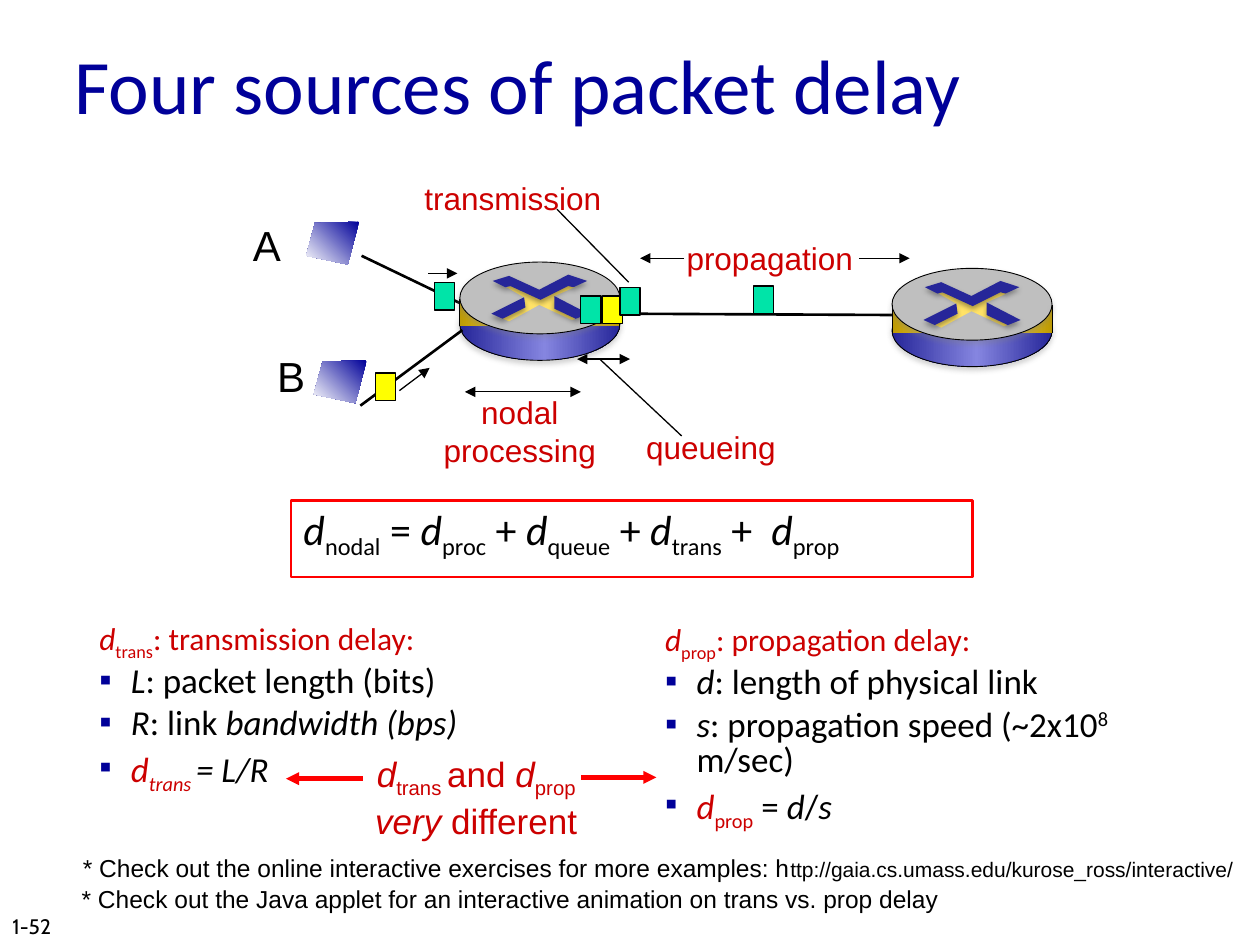
from lxml import etree
from pptx import Presentation
from pptx.dml.color import RGBColor
from pptx.enum.shapes import MSO_CONNECTOR as Connector, MSO_SHAPE as Shape
from pptx.enum.text import MSO_ANCHOR as Anchor, PP_ALIGN as Align
from pptx.oxml.ns import qn
from pptx.util import Inches, Pt

NAVY = RGBColor(0x00, 0x00, 0x99)
CRIMSON = RGBColor(0xCC, 0x00, 0x00)
RED = RGBColor(0xFF, 0x00, 0x00)
BLACK = RGBColor(0x00, 0x00, 0x00)
WHITE = RGBColor(0xFF, 0xFF, 0xFF)
GREY = RGBColor(0x80, 0x80, 0x80)
SILVER = RGBColor(0xBF, 0xBF, 0xBF)
INDIGO = RGBColor(0x26, 0x26, 0x99)
LAVENDER = RGBColor(0x85, 0x85, 0xE0)
BRONZE = RGBColor(0xC0, 0x9C, 0x00)
GOLD = RGBColor(0xFF, 0xE2, 0x67)
GREEN = RGBColor(0x00, 0xE4, 0xA8)
YELLOW = RGBColor(0xFF, 0xFF, 0x00)


def add_element(parent, tag, **attributes):
    return etree.SubElement(parent, qn(tag), {name: str(value) for name, value in attributes.items()})


class SlideBuilder:
    font = "Arial"
    body_font = "Calibri"

    def __init__(self, slide):
        self.slide = slide
        self.canvas = slide.shapes

    def compose(self, paragraph, runs, size, color=BLACK, font=None, align=None,
                indent=0, spacing=None, before=None, bullet=False):
        properties = paragraph._p.get_or_add_pPr()
        if indent:
            properties.set("marL", str(Inches(indent)))
            properties.set("indent", str(-Inches(indent)))
        if bullet:
            add_element(add_element(properties, "a:buClr"), "a:srgbClr", val=NAVY)
            add_element(properties, "a:buFont", typeface=self.font)
            add_element(properties, "a:buChar", char="▪")
        paragraph.alignment = align
        paragraph.line_spacing = spacing
        paragraph.space_before = before
        paragraph.font.name = font or self.font
        paragraph.font.size = Pt(size)
        paragraph.font.color.rgb = color
        for words, marks in runs:
            run = paragraph.add_run()
            run.text = words
            if "i" in marks:
                run.font.italic = True
            if "r" in marks:
                run.font.color.rgb = CRIMSON
            if "s" in marks:
                run.font.size = Pt(12)
            for mark, baseline in (("_", -25000), ("^", 30000)):
                if mark in marks:
                    run._r.get_or_add_rPr().set("baseline", str(baseline))

    def text(self, at, paragraphs, size, wrap=False, anchor=Anchor.TOP, **style):
        box = self.canvas.add_textbox(*map(Inches, at))
        frame = box.text_frame
        frame.word_wrap = wrap
        frame.vertical_anchor = anchor
        for index, runs in enumerate(paragraphs):
            paragraph = frame.paragraphs[0] if index == 0 else frame.add_paragraph()
            self.compose(paragraph, [(runs, "")] if isinstance(runs, str) else runs, size, **style)

    def delay_column(self, at, heading, items):
        frame = self.canvas.add_textbox(*map(Inches, at)).text_frame
        frame.word_wrap = True
        self.compose(frame.paragraphs[0], heading, 18, CRIMSON, self.body_font, indent=0.38, spacing=0.85)
        for runs in items:
            self.compose(frame.add_paragraph(), runs, 20, font=self.body_font, indent=0.25,
                         spacing=0.85, before=Pt(4), bullet=True)

    def paint(self, shape, fill=None, line=None, width=0.75, angle=0, shadow=None):
        if isinstance(fill, list):
            shape.fill.gradient()
            shape.fill.gradient_angle = 0
            gradient = shape._element.spPr.find(qn("a:gradFill"))
            gradient.find(qn("a:lin")).set("ang", str(angle * 60000))
            stops = gradient.find(qn("a:gsLst"))
            for stop in list(stops):
                stops.remove(stop)
            for position, color in fill:
                add_element(add_element(stops, "a:gs", pos=position * 1000), "a:srgbClr", val=color)
        elif fill is None:
            shape.fill.background()
        else:
            shape.fill.solid()
            shape.fill.fore_color.rgb = fill
        if line is None:
            shape.line.fill.background()
        else:
            shape.line.color.rgb = line
            shape.line.width = Pt(width)
        shape.shadow.inherit = False
        if shadow is not None:
            self.cast_shadow(shape._element.spPr.find(qn("a:effectLst")), shadow)
        return shape

    def cast_shadow(self, effects, color):
        outer = add_element(effects, "a:outerShdw", blurRad=Pt(3.1), dist=Pt(1.8),
                            dir=90 * 60000, algn="t", rotWithShape=0)
        add_element(add_element(outer, "a:srgbClr", val=color), "a:alpha", val=35000)

    def shape(self, kind, at, fill=None, line=None, **style):
        return self.paint(self.canvas.add_shape(kind, *map(Inches, at)), fill, line, **style)

    def outline(self, points, fill, dx=0, dy=0, **style):
        corners = [(Inches(x + dx), Inches(y + dy)) for x, y in points]
        builder = self.canvas.build_freeform(*corners[0])
        builder.add_line_segments(corners[1:], close=True)
        return self.paint(builder.convert_to_shape(), fill, **style)

    def line(self, start, end, width=0.75, color=BLACK, head=False, tail=False, shadow=None):
        connector = self.canvas.add_connector(Connector.STRAIGHT, *map(Inches, start + end))
        connector.line.color.rgb = color
        connector.line.width = Pt(width)
        for wanted, tag in ((head, "a:headEnd"), (tail, "a:tailEnd")):
            if wanted:
                add_element(connector.line._get_or_add_ln(), tag, type="triangle")
        effects = add_element(connector._element.spPr, "a:effectLst")
        if shadow is not None:
            self.cast_shadow(effects, shadow)

    def packet(self, x, y, fill):
        self.shape(Shape.RECTANGLE, (x, y, 0.16, 0.22), fill, BLACK)

    def host(self, x, y):
        self.outline([(0.42, 0), (0.07, 0.01), (0, 0.27), (0.33, 0.34)],
                     [(0, NAVY), (100, WHITE)], x, y, angle=135)

    def router(self, x, y):
        self.canvas = self.slide.shapes.add_group_shape().shapes
        self.shape(Shape.OVAL, (x, y + 0.21, 1.27, 0.57), [(0, INDIGO), (53, LAVENDER), (100, INDIGO)],
                   BLACK, width=0.5, shadow=GREY)
        self.shape(Shape.RECTANGLE, (x, y + 0.3, 1.27, 0.21), [(0, BRONZE), (53, GOLD), (100, BRONZE)])
        self.shape(Shape.OVAL, (x, y, 1.27, 0.57), SILVER, BLACK, width=0.5, shadow=GREY)
        self.outline([(0.63, 0.34), (0.39, 0.47), (0.32, 0.44), (0.52, 0.36), (0.51, 0.28),
                      (0.37, 0.2), (0.42, 0.19), (0.63, 0.29), (0.85, 0.18), (0.91, 0.2),
                      (0.75, 0.27), (0.78, 0.38), (0.94, 0.44), (0.89, 0.46)], GOLD, x, y)
        upper = [(0.26, 0.15), (0.39, 0.11), (0.63, 0.22), (0.86, 0.1), (1.01, 0.15),
                 (0.9, 0.2), (0.86, 0.19), (0.64, 0.3), (0.4, 0.19), (0.36, 0.2)]
        right = [(0.75, 0.27), (1.02, 0.41), (0.92, 0.45), (0.75, 0.37)]
        left = [(0.51, 0.28), (0.52, 0.36), (0.34, 0.45), (0.25, 0.41)]
        for arm in (upper, right, left):
            self.outline(arm, INDIGO, x, y, shadow=BLACK)
        for side in (x, x + 1.27):
            self.line((side, y + 0.51), (side, y + 0.29), 0.5, shadow=GREY)
        self.canvas = self.slide.shapes


def main():
    presentation = Presentation()
    presentation.slide_width, presentation.slide_height = Inches(10), Inches(7.5)
    builder = SlideBuilder(presentation.slides.add_slide(presentation.slide_layouts[6]))

    builder.delay_column((0.69, 4.88, 4.17, 2.27),
                         [("d", "i"), ("trans", "_"), (": transmission delay:", "")],
                         [[("L", "i"), (": packet length (bits)", "")],
                          [("R", "i"), (": link ", ""), ("bandwidth (bps)", "i")],
                          [("d", "ir"), ("trans ", "ir_"), ("= L/R", "i")]])
    builder.delay_column((5.18, 4.89, 4.5, 2.4),
                         [("d", "i"), ("prop", "_"), (": propagation delay:", "")],
                         [[("d", "i"), (": length of physical link", "")],
                          [("s", "i"), (": propagation speed (~2x10", ""), ("8", "^"), (" m/sec)", "")],
                          [("d", "ir"), ("prop", "r_"), (" = ", ""), ("d", "i"), ("/", ""), ("s", "i")]])
    builder.text((0.49, 0.22, 8.5, 0.89), ["Four sources of packet delay"], 44, wrap=True,
                 anchor=Anchor.MIDDLE, color=NAVY, font=builder.body_font)
    builder.text((0, 7, 2.08, 0.5), ["1-52"], 12, wrap=True, anchor=Anchor.BOTTOM, font="Cabin")
    builder.text((0.55, 6.97, 7.03, 0.34),
                 ["* Check out the Java applet for an interactive animation on trans vs. prop delay"], 14)
    builder.text((2.63, 5.92, 2.3, 0.77),
                 [[("d", "i"), ("trans ", "_"), ("and ", ""), ("d", "i"), ("prop", "_")],
                  [("very ", "i"), ("different", "")]],
                 20, wrap=True, color=CRIMSON, align=Align.CENTER)
    builder.line((2.27, 6.18), (2.88, 6.18), 2.5, RED, head=True)
    builder.line((5.21, 6.17), (4.61, 6.17), 2.5, RED, head=True)
    builder.text((0.56, 6.72, 10, 0.34),
                 [[("* Check out the online interactive exercises for more examples: h", ""),
                   ("ttp://gaia.cs.umass.edu/kurose_ross/interactive/", "s")]], 14, wrap=True)

    builder.line((2.87, 2.03), (3.68, 2.42), 1.5)
    builder.router(3.65, 2.08)
    builder.line((4.97, 2.49), (7.09, 2.5), 1.5)
    for x, y, fill in ((5.98, 2.27, GREEN), (4.61, 2.35, GREEN), (4.78, 2.35, YELLOW),
                       (4.92, 2.28, GREEN), (3.45, 2.24, GREEN)):
        builder.packet(x, y, fill)
    builder.line((2.86, 3.22), (3.67, 2.62), 1.5)
    builder.packet(2.98, 2.96, YELLOW)
    builder.host(2.43, 1.76)
    builder.host(2.49, 2.86)
    builder.router(7.08, 2.13)

    for at, lines in (((5.35, 1.85, 1.52, 0.4), ["propagation"]),
                      ((5.03, 3.35, 1.23, 0.4), ["queueing"]),
                      ((3.27, 1.37, 1.6, 0.4), ["transmission"])):
        builder.text(at, lines, 18, color=CRIMSON)
    builder.text((3.42, 3.07, 1.41, 0.7), ["nodal", "processing"], 18, color=CRIMSON, align=Align.CENTER)
    builder.text((1.91, 1.69, 0.44, 0.51), ["A"], 24)
    builder.text((2.1, 2.73, 0.42, 0.5), ["B"], 24)

    for start, end in (((6.82, 2.05), (7.22, 2.05)), ((5.43, 2.05), (5.08, 2.05)),
                       ((3.4, 2.17), (3.63, 2.17)), ((3.17, 3.1), (3.41, 2.92))):
        builder.line(start, end, tail=True)
    for start, end in (((4.61, 3.11), (3.69, 3.11)), ((5, 2.85), (4.58, 2.85))):
        builder.line(start, end, head=True, tail=True)
    for start, end in (((5.41, 3.46), (4.76, 2.85)), ((4.42, 1.66), (4.99, 2.24))):
        builder.line(start, end)

    formula = builder.shape(Shape.RECTANGLE, (2.31, 3.97, 5.41, 0.61), line=RED, width=1.5)
    formula.text_frame.vertical_anchor = Anchor.TOP
    terms = [("d", "i"), ("nodal", "_")]
    for sign, name in ((" = ", "proc"), (" + ", "queue"), (" + ", "trans"), (" +  ", "prop")):
        terms += [(sign, ""), ("d", "i"), (name, "_")]
    builder.compose(formula.text_frame.paragraphs[0], terms, 24, font=builder.body_font,
                    align=Align.LEFT, indent=0.31, spacing=0.85)
    presentation.save("out.pptx")


if __name__ == "__main__":
    main()
